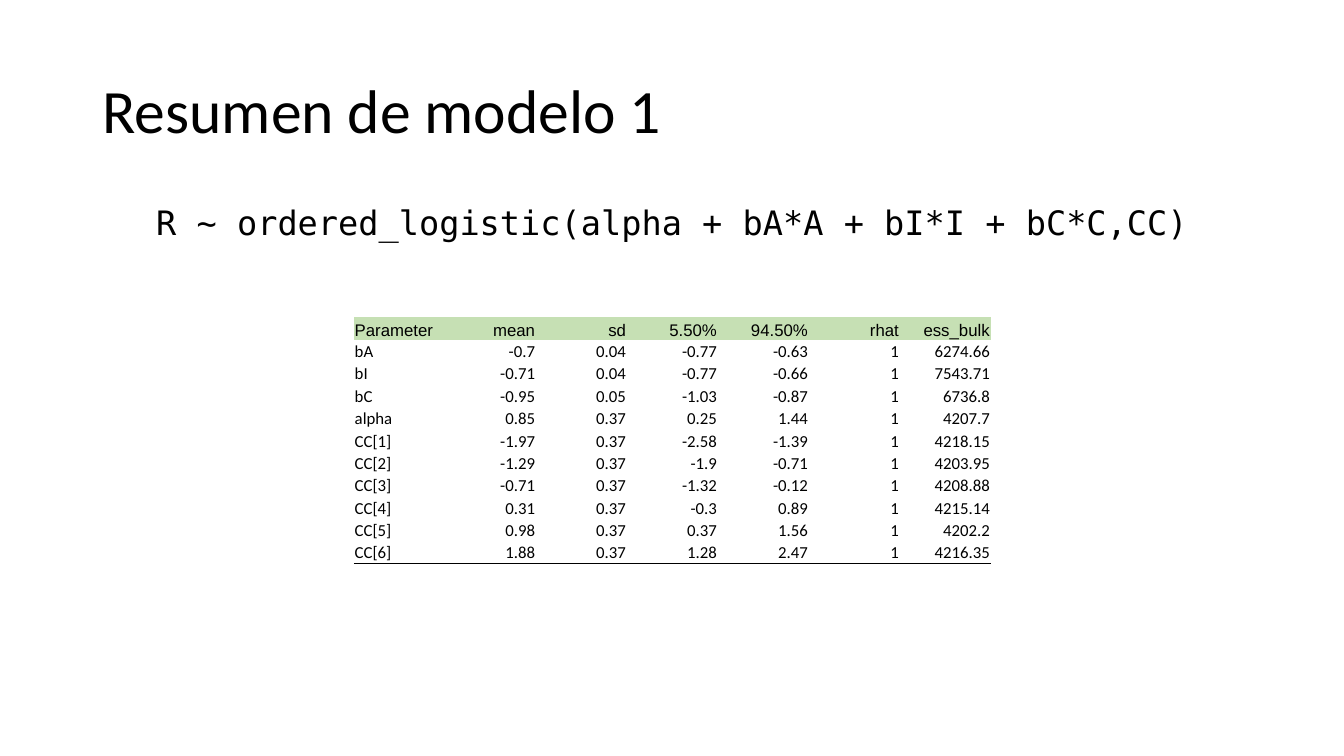
import pptx
import pptx.util
import pptx.dml.color
import pptx.enum.text
import pptx.oxml
import pptx.oxml.ns
from pptx.util import Cm, Pt

ALIGN = pptx.enum.text.PP_ALIGN
ANCHOR = pptx.enum.text.MSO_ANCHOR
NS = pptx.oxml.ns.nsdecls("a")


def color(hex_code):
    return pptx.dml.color.RGBColor.from_string(hex_code)


def write(frame, text, font, size, align, spacing=1.0):
    frame.text = text
    paragraph = frame.paragraphs[0]
    paragraph.alignment = align
    paragraph.line_spacing = spacing
    run_font = paragraph.runs[0].font
    run_font.name = font
    run_font.size = Pt(size)
    run_font.color.rgb = color("000000")
    return paragraph


deck = pptx.Presentation()
deck.slide_width, deck.slide_height = Cm(33.87), Cm(19.05)
slide = deck.slides.add_slide(deck.slide_layouts[1])

# Title
title = slide.shapes.title
title.left, title.top, title.width, title.height = Cm(2.33), Cm(1.01), Cm(29.21), Cm(3.68)
title.text_frame.vertical_anchor = ANCHOR.MIDDLE
write(title.text_frame, "Resumen de modelo 1", "Calibri", 44, ALIGN.LEFT, 0.9)

# Model formula
formula = slide.placeholders[1]
formula.left, formula.top, formula.width, formula.height = Cm(2.33), Cm(5.08), Cm(29.21), Cm(1.32)
formula.text_frame.auto_size = pptx.enum.text.MSO_AUTO_SIZE.NONE
formula_line = write(formula.text_frame, "R ~ ordered_logistic(alpha + bA*A + bI*I + bC*C,CC)",
                     "DejaVu Sans Mono", 24, ALIGN.CENTER, 0.9)
formula_line.space_before = Pt(10)
formula_format = formula_line._p.get_or_add_pPr()
formula_format.set("marL", "0")
formula_format.set("indent", "0")
formula_format.append(pptx.oxml.parse_xml(f"<a:buNone {NS}/>"))

# Parameter estimates
estimates = [
    ("Parameter", "mean", "sd", "5.50%", "94.50%", "rhat", "ess_bulk"),
    ("bA", "-0.7", "0.04", "-0.77", "-0.63", "1", "6274.66"),
    ("bI", "-0.71", "0.04", "-0.77", "-0.66", "1", "7543.71"),
    ("bC", "-0.95", "0.05", "-1.03", "-0.87", "1", "6736.8"),
    ("alpha", "0.85", "0.37", "0.25", "1.44", "1", "4207.7"),
    ("CC[1]", "-1.97", "0.37", "-2.58", "-1.39", "1", "4218.15"),
    ("CC[2]", "-1.29", "0.37", "-1.9", "-0.71", "1", "4203.95"),
    ("CC[3]", "-0.71", "0.37", "-1.32", "-0.12", "1", "4208.88"),
    ("CC[4]", "0.31", "0.37", "-0.3", "0.89", "1", "4215.14"),
    ("CC[5]", "0.98", "0.37", "0.37", "1.56", "1", "4202.2"),
    ("CC[6]", "1.88", "0.37", "1.28", "2.47", "1", "4216.35"),
]
summary = slide.shapes.add_table(len(estimates), len(estimates[0]),
                                 Cm(8.92), Cm(8), Cm(16.05), Cm(6.2)).table
summary.first_row = summary.horz_banding = False
# Built-in style without grid lines
summary._tbl.tblPr.find(pptx.oxml.ns.qn("a:tableStyleId")).text = \
    "{2D5ABB26-0587-4C30-8999-92F81FD0307C}"

last_row = len(estimates) - 1
for row, values in enumerate(estimates):
    for column, value in enumerate(values):
        cell = summary.cell(row, column)
        cell.margin_left = cell.margin_right = cell.margin_top = Cm(0.02)
        cell.margin_bottom = 0
        cell.vertical_anchor = ANCHOR.BOTTOM
        write(cell.text_frame, value, "Calibri" if row else "Arial", 12,
              ALIGN.RIGHT if column else ALIGN.LEFT)
        if row == 0:
            cell.fill.solid()
            cell.fill.fore_color.rgb = color("C6E0B4")
        else:
            cell.fill.background()
        if row == last_row:
            cell._tc.get_or_add_tcPr().insert(0, pptx.oxml.parse_xml(
                f'<a:lnB {NS} w="{Pt(0.5)}"><a:solidFill><a:srgbClr val="000000"/>'
                "</a:solidFill></a:lnB>"))

deck.save("out.pptx")
